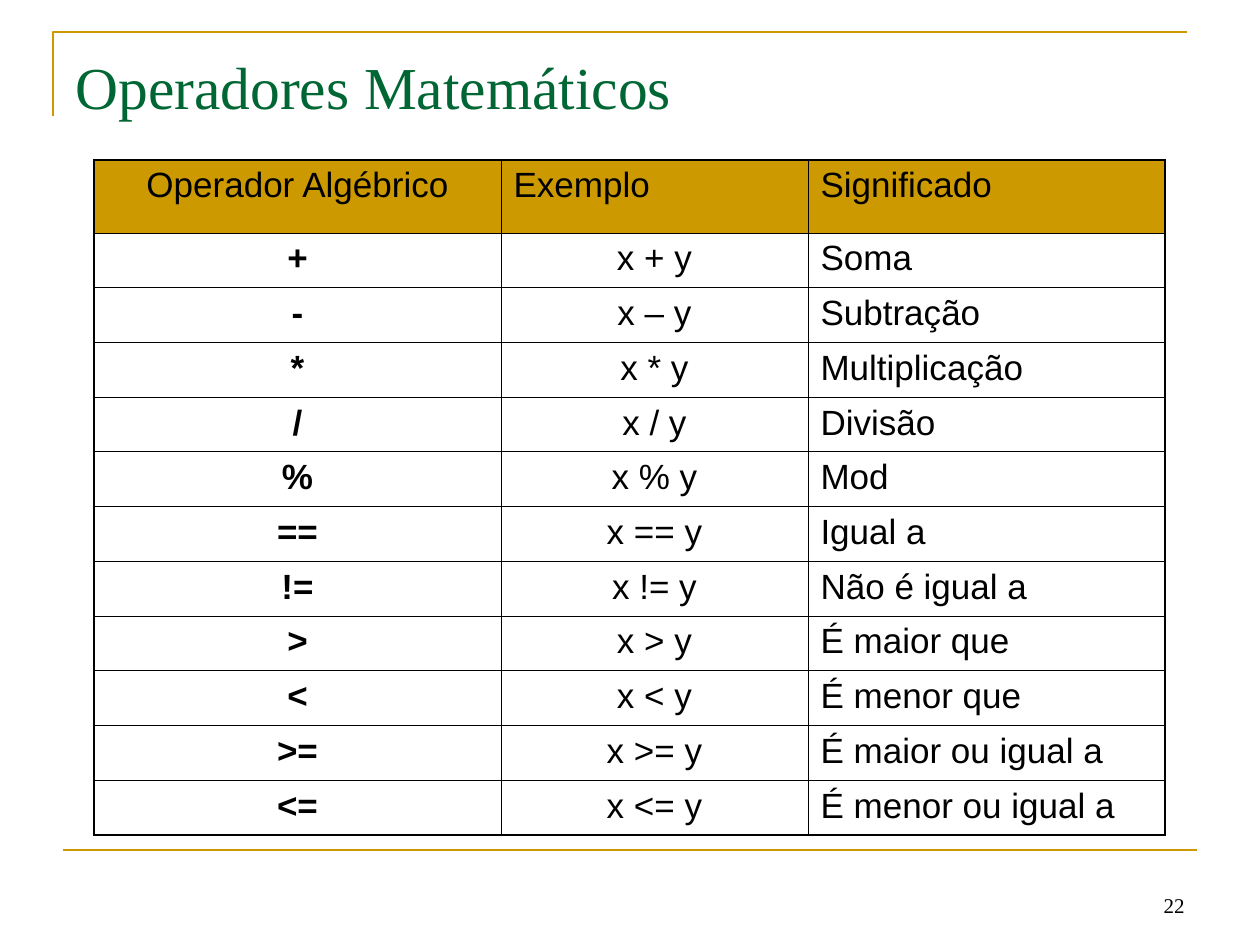
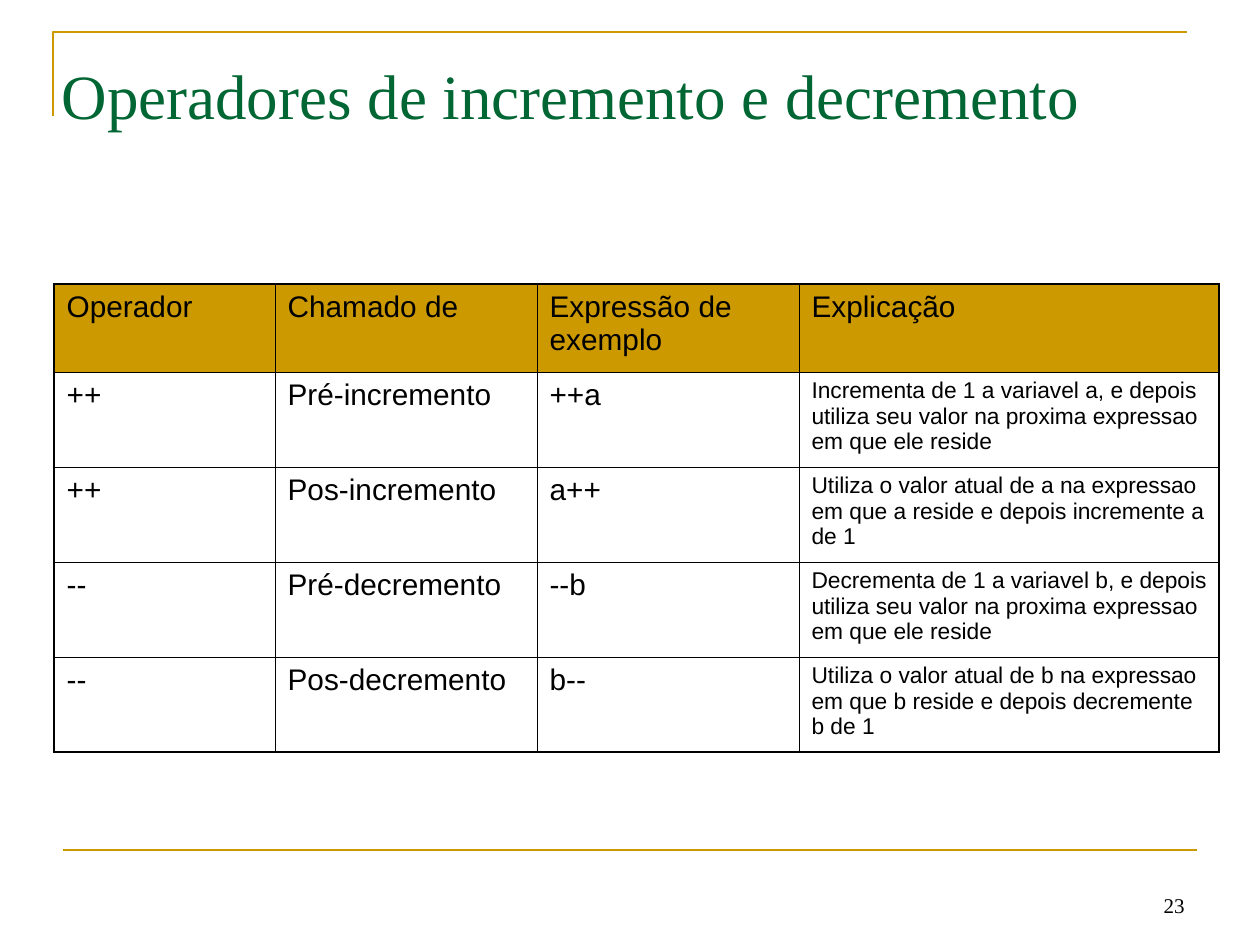
import collections

import pptx
import pptx.dml.color
import pptx.enum.shapes
import pptx.enum.text
import pptx.oxml
import pptx.oxml.ns
import pptx.util

EMU_PER_PX = 914400 / 126
GOLD, GREEN, BLACK = "CC9900", "006633", "000000"
SERIF, SANS = "Times New Roman", "Arial"
LEFT, CENTER, RIGHT = (pptx.enum.text.PP_ALIGN.LEFT, pptx.enum.text.PP_ALIGN.CENTER,
                       pptx.enum.text.PP_ALIGN.RIGHT)
MIDDLE, BOTTOM = pptx.enum.text.MSO_ANCHOR.MIDDLE, pptx.enum.text.MSO_ANCHOR.BOTTOM
THICK, THIN = 1.08, 0.45

Column = collections.namedtuple("Column", "width head head_align align bold size")

MATH_COLUMNS = [
    Column(407, "Operador Algébrico", CENTER, CENTER, True, 20),
    Column(307, "Exemplo", LEFT, CENTER, False, 20),
    Column(357, "Significado", LEFT, LEFT, False, 20),
]
MATH_OPERATORS = [
    ("+", "x + y", "Soma"),
    ("-", "x – y", "Subtração"),
    ("*", "x * y", "Multiplicação"),
    ("/", "x / y", "Divisão"),
    ("%", "x % y", "Mod"),
    ("==", "x == y", "Igual a"),
    ("!=", "x != y", "Não é igual a"),
    (">", "x > y", "É maior que"),
    ("<", "x < y", "É menor que"),
    (">=", "x >= y", "É maior ou igual a"),
    ("<=", "x <= y", "É menor ou igual a"),
]
STEP_COLUMNS = [
    Column(221, "Operador", LEFT, LEFT, False, 17),
    Column(262, "Chamado de", LEFT, LEFT, False, 17),
    Column(262, "Expressão de exemplo", LEFT, LEFT, False, 17),
    Column(420, "Explicação", LEFT, LEFT, False, 13),
]
STEP_OPERATORS = [
    ("++", "Pré-incremento", "++a",
     "Incrementa de 1 a variavel a, e depois utiliza seu valor na proxima expressao "
     "em que ele reside"),
    ("++", "Pos-incremento", "a++",
     "Utiliza o valor atual de a na expressao em que a reside e depois incremente a de 1"),
    ("--", "Pré-decremento", "--b",
     "Decrementa de 1 a variavel b, e depois utiliza seu valor na proxima expressao "
     "em que ele reside"),
    ("--", "Pos-decremento", "b--",
     "Utiliza o valor atual de b na expressao em que b reside e depois decremente b de 1"),
]


def px(n):
    """Turn px into EMU."""
    return pptx.util.Emu(round(n * EMU_PER_PX))


def color(value):
    """Turn a hex string into a colour."""
    return pptx.dml.color.RGBColor.from_string(value)


def write(tf, text, size, font, fill=BLACK, align=LEFT, bold=False):
    """Write one formatted run in the first paragraph and return the paragraph."""
    p = tf.paragraphs[0]
    p.alignment = align
    r = p.add_run()
    r.text = text
    r.font.size = pptx.util.Pt(size)
    r.font.name = font
    r.font.bold = bold
    r.font.color.rgb = color(fill)
    return p


def style_line(sp):
    """Give a shape the gold rule style without shadow."""
    sp.line.color.rgb = color(GOLD)
    sp.line.width = pptx.util.Pt(1.5)
    sp._element.spPr.append(pptx.oxml.parse_xml(
        f"<a:effectLst {pptx.oxml.ns.nsdecls('a')}/>"))


def add_frame(s):
    """Draw the corner rule at the top and the straight rule at the bottom."""
    builder = s.shapes.build_freeform(px(53), px(116))
    builder.add_line_segments([(px(53), px(32)), (px(1187), px(32))], close=False)
    corner = builder.convert_to_shape()
    corner.fill.background()
    style_line(corner)
    style_line(s.shapes.add_connector(
        pptx.enum.shapes.MSO_CONNECTOR.STRAIGHT, px(63), px(850), px(1197), px(850)))


def add_number(s, number):
    """Put the slide number at the bottom right."""
    tf = s.shapes.add_textbox(px(903), px(861), px(294), px(63)).text_frame
    tf.word_wrap = True
    tf.vertical_anchor = BOTTOM
    write(tf, str(number), 12, SERIF, align=RIGHT)


def set_title(s, text, box, size, anchor, bottom_inset=6):
    """Move the title placeholder and fill it."""
    sp = s.shapes.title
    sp.left, sp.top, sp.width, sp.height = map(px, box)
    tf = sp.text_frame
    tf.auto_size = pptx.enum.text.MSO_AUTO_SIZE.NONE
    tf.vertical_anchor = anchor
    tf.margin_bottom = px(bottom_inset)
    write(tf, text, size, SERIF, GREEN)


def set_borders(cell, widths):
    """Draw the left, right, top and bottom borders of a cell."""
    tc_pr = cell._tc.get_or_add_tcPr()
    for side, width in zip("LRTB", widths):
        tc_pr.append(pptx.oxml.parse_xml(
            f'<a:ln{side} {pptx.oxml.ns.nsdecls("a")} w="{pptx.util.Pt(width)}">'
            f'<a:solidFill><a:srgbClr val="{BLACK}"/></a:solidFill></a:ln{side}>'))


def add_grid(s, left, top, head_height, height, columns, rows):
    """Add a table with a gold header, equal body rows and a thick outline."""
    width = sum(c.width for c in columns)
    table = s.shapes.add_table(len(rows) + 1, len(columns), px(left), px(top),
                               px(width), px(height)).table
    table.first_row = table.horz_banding = False
    lines = [[c.head for c in columns], *rows]
    for i, line in enumerate(lines):
        table.rows[i].height = px(head_height if i == 0 else (height - head_height) / len(rows))
        for j, (column, text) in enumerate(zip(columns, line)):
            table.columns[j].width = px(column.width)
            cell = table.cell(i, j)
            edges = (j == 0, j == len(columns) - 1, i == 0, i == len(rows))
            set_borders(cell, [THICK if edge else THIN for edge in edges])
            if i == 0:
                cell.fill.solid()
                cell.fill.fore_color.rgb = color(GOLD)
                size, align, bold = columns[0].size, column.head_align, False
            else:
                cell.fill.background()
                size, align, bold = column.size, column.align, column.bold
            p = write(cell.text_frame, text, size, SANS, align=align, bold=bold)
            p.space_before = pptx.util.Pt(size / 4)


def add_slide(prs, number):
    """Add a slide with the shared frame and its number."""
    s = prs.slides.add_slide(prs.slide_layouts[5])
    add_frame(s)
    add_number(s, number)
    return s


def main():
    """Build both slides and save them."""
    prs = pptx.Presentation()
    prs.slide_width, prs.slide_height = px(1260), px(945)

    s = add_slide(prs, 22)
    set_title(s, "Operadores Matemáticos", (63, 38, 1134, 105), 34, MIDDLE, bottom_inset=16)
    add_grid(s, 94, 160, 73, 675, MATH_COLUMNS, MATH_OPERATORS)

    s = add_slide(prs, 23)
    set_title(s, "Operadores de incremento e decremento", (49, 55, 1134, 83), 36, BOTTOM)
    add_grid(s, 54, 284, 88, 468, STEP_COLUMNS, STEP_OPERATORS)

    prs.save("out.pptx")


if __name__ == "__main__":
    main()
